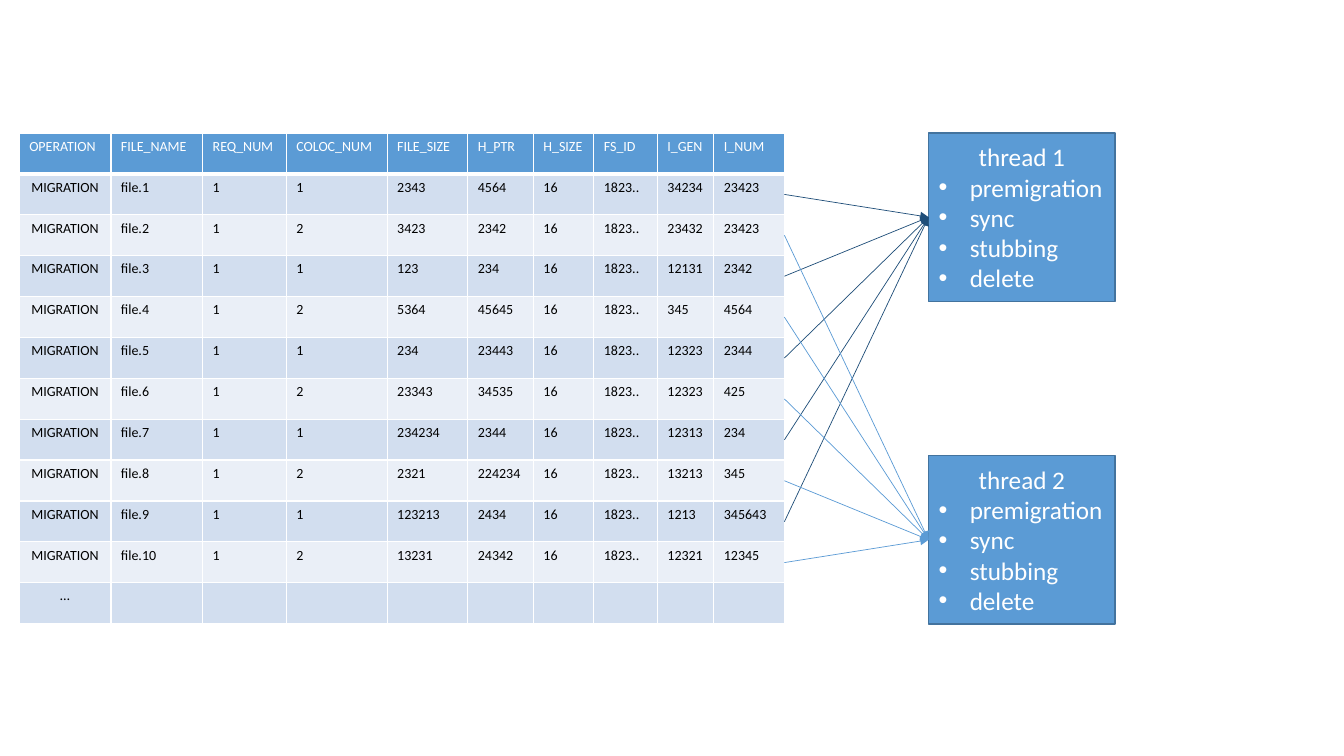
from lxml import etree
from pptx import Presentation
from pptx import util as u
from pptx.dml.color import RGBColor
from pptx.enum import shapes, text
from pptx.oxml import parse_xml
from pptx.oxml.ns import nsdecls, qn

HEADINGS = ("OPERATION", "FILE_NAME", "REQ_NUM", "COLOC_NUM", "FILE_SIZE",
            "H_PTR", "H_SIZE", "FS_ID", "I_GEN", "I_NUM")
COLUMN_WIDTHS = (0.91, 0.91, 0.83, 1, 0.8, 0.65, 0.6, 0.63, 0.56, 0.7)
# coloc number, file size, pointer, generation, inode
FILES = [
    (1, 2343, 4564, 34234, 23423),
    (2, 3423, 2342, 23432, 23423),
    (1, 123, 234, 12131, 2342),
    (2, 5364, 45645, 345, 4564),
    (1, 234, 23443, 12323, 2344),
    (2, 23343, 34535, 12323, 425),
    (1, 234234, 2344, 12313, 234),
    (2, 2321, 224234, 13213, 345),
    (1, 123213, 2434, 1213, 345643),
    (2, 13231, 24342, 12321, 12345),
]
STEPS = ("premigration", "sync", "stubbing", "delete")

WHITE = RGBColor(0xFF, 0xFF, 0xFF)
BLACK = RGBColor(0, 0, 0)
BLUE = RGBColor(0x5B, 0x9B, 0xD5)
OUTLINE = RGBColor(0x43, 0x73, 0x9E)
NAVY = RGBColor(0x1F, 0x4E, 0x79)
BANDS = (RGBColor(0xEA, 0xEF, 0xF7), RGBColor(0xD2, 0xDE, 0xEF))
ARROW_COLOURS = {1: NAVY, 2: BLUE}

LEFT, TOP, HEIGHT = 0.19, 1.32, 4.87
THREAD_LEFT, THREAD_WIDTH, THREAD_HEIGHT = 9.21, 1.85, 1.67
THREAD_TOPS = {1: TOP, 2: TOP + HEIGHT - THREAD_HEIGHT}
INDENT = u.Inches(0.31)


def write(paragraph, words, size=10, colour=BLACK, align=text.PP_ALIGN.LEFT, bullet=False):
    paragraph.alignment = align
    run = paragraph.add_run()
    run.text = words
    run.font.name, run.font.size, run.font.bold = "Calibri", u.Pt(size), False
    run.font.color.rgb = colour
    if bullet:
        props = paragraph._p.get_or_add_pPr()
        props.set("marL", str(INDENT))
        props.set("indent", str(-INDENT))
        etree.SubElement(props, qn("a:buFont"), typeface="Arial")
        etree.SubElement(props, qn("a:buChar"), char="•")


def add_borders(cell, bottom=1, top=1):
    widths = {"lnL": 1, "lnR": 1, "lnT": top, "lnB": bottom}
    for side, width in widths.items():
        cell._tc.get_or_add_tcPr().append(parse_xml(
            f'<a:{side} {nsdecls("a")} w="{u.Pt(width)}"><a:solidFill>'
            f'<a:srgbClr val="{WHITE}"/></a:solidFill></a:{side}>'))


def add_file_table(slide):
    rows = [HEADINGS]
    for number, (coloc, size, pointer, generation, inode) in enumerate(FILES, 1):
        rows.append(("MIGRATION", f"file.{number}", 1, coloc, size, pointer,
                     16, "1823..", generation, inode))
    rows.append(("…",) + ("",) * (len(HEADINGS) - 1))

    table = slide.shapes.add_table(
        len(rows), len(HEADINGS), u.Inches(LEFT), u.Inches(TOP),
        u.Inches(sum(COLUMN_WIDTHS)), u.Inches(HEIGHT)).table
    for column, width in zip(table.columns, COLUMN_WIDTHS):
        column.width = u.Inches(width)
    for r, values in enumerate(rows):
        table.rows[r].height = u.Inches(HEIGHT / len(rows))
        for c, value in enumerate(values):
            cell = table.cell(r, c)
            add_borders(cell, bottom=3 if r == 0 else 1, top=3 if r == 1 else 1)
            cell.fill.solid()
            cell.fill.fore_color.rgb = BANDS[r % 2] if r else BLUE
            if value != "":
                centred = r > 0 and c == 0
                write(cell.text_frame.paragraphs[0], str(value),
                      colour=BLACK if r else WHITE,
                      align=text.PP_ALIGN.CENTER if centred else text.PP_ALIGN.LEFT)
    return HEIGHT / len(rows)


def add_thread(slide, number):
    thread = slide.shapes.add_shape(
        shapes.MSO_SHAPE.RECTANGLE, u.Inches(THREAD_LEFT), u.Inches(THREAD_TOPS[number]),
        u.Inches(THREAD_WIDTH), u.Inches(THREAD_HEIGHT))
    thread.shadow.inherit = False
    thread.fill.solid()
    thread.fill.fore_color.rgb = BLUE
    thread.line.color.rgb = OUTLINE
    thread.line.width = u.Pt(1)
    frame = thread.text_frame
    frame.word_wrap = True
    frame.vertical_anchor = text.MSO_ANCHOR.MIDDLE
    write(frame.paragraphs[0], f"thread {number}", size=18, colour=WHITE,
          align=text.PP_ALIGN.CENTER)
    for step in STEPS:
        write(frame.add_paragraph(), step, size=18, colour=WHITE, bullet=True)
    return thread


def add_arrow(slide, y, thread, colour):
    """Draw an arrow from the table's right edge to the thread's left side."""
    start = u.Inches(LEFT + sum(COLUMN_WIDTHS))
    arrow = slide.shapes.add_connector(
        shapes.MSO_CONNECTOR.STRAIGHT, start, u.Inches(y), thread.left, thread.top)
    arrow.end_connect(thread, 1)
    arrow.line.color.rgb = colour
    arrow.line.width = u.Pt(0.5)
    etree.SubElement(arrow.line._get_or_add_ln(), qn("a:tailEnd"), type="triangle")
    etree.SubElement(arrow._element.spPr, qn("a:effectLst"))


def main():
    deck = Presentation()
    deck.slide_width, deck.slide_height = u.Inches(13.33), u.Inches(7.5)
    slide = deck.slides.add_slide(deck.slide_layouts[6])
    row_height = add_file_table(slide)
    threads = {number: add_thread(slide, number) for number in THREAD_TOPS}
    for number, thread in threads.items():
        for row, (coloc, *_) in enumerate(FILES, 1):
            if coloc == number:
                add_arrow(slide, TOP + (row + 0.5) * row_height, thread,
                          ARROW_COLOURS[number])
    deck.save("out.pptx")


if __name__ == "__main__":
    main()
